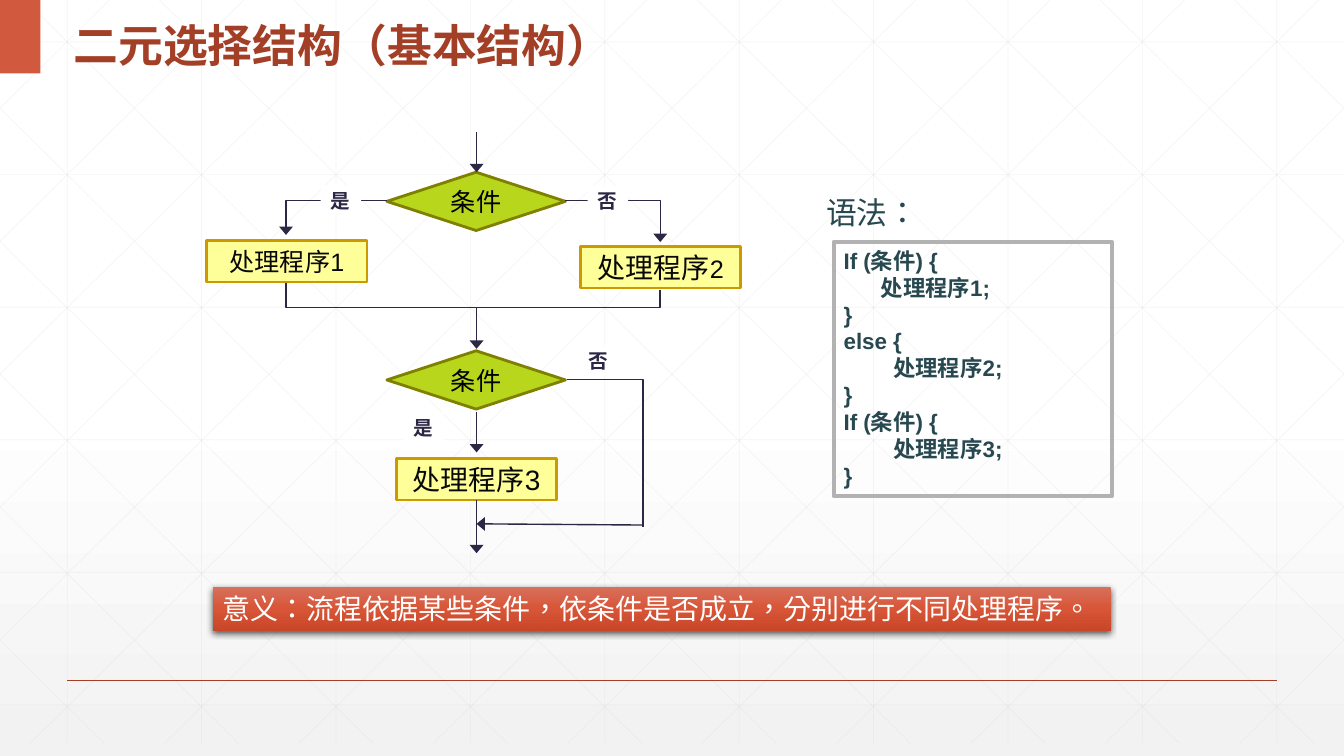
from pptx import Presentation
from pptx.dml.color import RGBColor
from pptx.enum.lang import MSO_LANGUAGE_ID
from pptx.enum.shapes import MSO_CONNECTOR, MSO_SHAPE
from pptx.enum.text import MSO_ANCHOR, MSO_AUTO_SIZE, PP_ALIGN
from pptx.oxml import parse_xml
from pptx.oxml.ns import nsdecls, qn
from pptx.util import Cm, Pt

RECTANGLE, DIAMOND = MSO_SHAPE.RECTANGLE, MSO_SHAPE.DIAMOND
STRAIGHT, ELBOW = MSO_CONNECTOR.STRAIGHT, MSO_CONNECTOR.ELBOW
LEFT, CENTER = PP_ALIGN.LEFT, PP_ALIGN.CENTER
TOP, MIDDLE = MSO_ANCHOR.TOP, MSO_ANCHOR.MIDDLE
NO_AUTOSIZE = MSO_AUTO_SIZE.NONE
CHINESE = MSO_LANGUAGE_ID.TRADITIONAL_CHINESE
WIDTH, HEIGHT = 33.87, 19.05
HEADING_FONT, BODY_FONT = "Noto Sans CJK SC", "Arial"
COLORS = {
    "title": "A43F27", "accent": "D15A3E", "grid": "D9D9D9", "code": "284850",
    "frame": "B2B2B2", "flow": "2B2745", "process": "FFFF99", "process_edge": "CC9900",
    "process_text": "080808", "decision": "B7D61C", "decision_edge": "808000",
    "black": "000000", "white": "FFFFFF", "pale": "F2F2F2",
    "banner_top": "D7705D", "banner_middle": "D85537", "banner_bottom": "C84728",
}
CODE = """If (条件) {
      处理程序1;
}
else {
        处理程序2;
}
If (条件) {
        处理程序3;
}"""


def rgb(name):
    """Return the named colour."""
    return RGBColor.from_string(COLORS[name])


class SlideBuilder:
    """Hold the shared style and the slide being built."""

    def __init__(self, presentation):
        self.slide = presentation.slides.add_slide(presentation.slide_layouts[5])

    def gradient(self, fill, element, stops):
        """Give a fill a vertical gradient made of (position, colour) stops."""
        fill.gradient()
        fill.gradient_angle = 270
        stop_list = element.find(".//" + qn("a:gsLst"))
        for stop in list(stop_list):
            stop_list.remove(stop)
        for position, color in stops:
            stop_list.append(parse_xml(
                f'<a:gs {nsdecls("a")} pos="{position * 1000}">'
                f'<a:srgbClr val="{COLORS[color]}"/></a:gs>'))

    def fill_text(self, shape, lines, size, color, font=BODY_FONT, bold=False, align=LEFT,
                  anchor=MIDDLE, wrap=True, spacing=None):
        """Put lines, each a list of (text, size) runs or a string, into a shape."""
        frame = shape.text_frame
        settings = {"auto_size": NO_AUTOSIZE, "word_wrap": wrap, "vertical_anchor": anchor}
        for name, value in settings.items():
            setattr(frame, name, value)
        for index, line in enumerate(lines):
            paragraph = frame.add_paragraph() if index else frame.paragraphs[0]
            paragraph.alignment = align
            paragraph.line_spacing = spacing
            for words, points in [(line, size)] if isinstance(line, str) else line:
                run = paragraph.add_run()
                run.text = words
                run.font.color.rgb = rgb(color)
                formats = {"size": Pt(points), "bold": bold, "name": font,
                           "language_id": CHINESE}
                for name, value in formats.items():
                    setattr(run.font, name, value)
                run.font._element.append(
                    parse_xml(f'<a:ea {nsdecls("a")} typeface="{font}"/>'))

    def title(self, text, left, top, width, height):
        """Place and format the title placeholder."""
        title = self.slide.shapes.title
        self.slide.shapes._spTree.append(title._element)
        for name, value in zip(("left", "top", "width", "height"), (left, top, width, height)):
            setattr(title, name, Cm(value))
        self.fill_text(title, [text], 32, "title", HEADING_FONT, bold=True, spacing=1.3)

    def text(self, text, left, top, width, height, **style):
        """Add a text box."""
        box = self.slide.shapes.add_textbox(Cm(left), Cm(top), Cm(width), Cm(height))
        self.fill_text(box, [text], **style)

    def shape(self, kind, left, top, width, height, fill=None, edge=None, weight=2):
        """Add a preset shape without shadow."""
        shape = self.slide.shapes.add_shape(kind, Cm(left), Cm(top), Cm(width), Cm(height))
        shape.shadow.inherit = False
        if fill:
            shape.fill.solid()
            shape.fill.fore_color.rgb = rgb(fill)
        else:
            shape.fill.background()
        if edge:
            shape.line.color.rgb = rgb(edge)
            shape.line.width = Pt(weight)
        else:
            shape.line.fill.background()
        return shape

    def process(self, line, left, top, size):
        """Add a process box."""
        box = self.shape(RECTANGLE, left, top, 4.04, 1.04, "process", "process_edge")
        self.fill_text(box, [line], size, "process_text", align=CENTER, wrap=False)

    def decision(self, left, top):
        """Add a decision diamond."""
        diamond = self.shape(DIAMOND, left, top, 4.5, 1.47, "decision", "decision_edge")
        self.fill_text(diamond, ["条件"], 18, "black", align=CENTER, wrap=False)

    def label(self, text, left, top):
        """Add a branch label."""
        label = self.shape(RECTANGLE, left, top, 1.02, 0.76, "white")
        self.fill_text(label, [text], 14, "flow", bold=True, wrap=False)

    def line(self, start, end, color="flow", weight=1, arrow=False, kind=STRAIGHT, opacity=None):
        """Add a connector; an elbow bends once, sideways first."""
        line = self.slide.shapes.add_connector(kind, *map(Cm, start + end))
        line.line.color.rgb = rgb(color)
        line.line.width = Pt(weight)
        properties = line._element.spPr
        if kind == ELBOW:
            properties.find(qn("a:prstGeom")).set("prst", "bentConnector2")
        if opacity:
            properties.find(".//" + qn("a:srgbClr")).append(
                parse_xml(f'<a:alpha {nsdecls("a")} val="{opacity * 1000}"/>'))
        if arrow:
            properties.find(qn("a:ln")).append(
                parse_xml(f'<a:tailEnd {nsdecls("a")} type="triangle" w="lg" len="med"/>'))
        properties.append(parse_xml(f'<a:effectLst {nsdecls("a")}/>'))
        return line

    def merge(self):
        """Join the two branches with one connector bent below them."""
        line = self.line((12.01, 2.51), (11.84, 11.93), weight=1.25, kind=ELBOW)
        properties = line._element.spPr
        properties.find(qn("a:xfrm")).set("rot", "16200000")
        geometry = properties.find(qn("a:prstGeom"))
        geometry.set("prst", "bentConnector3")
        for child in list(geometry):
            geometry.remove(child)
        geometry.append(parse_xml(
            f'<a:avLst {nsdecls("a")}><a:gd name="adj1" fmla="val 360000"/></a:avLst>'))

    def grid(self):
        """Draw the faint background lattice."""
        bottom, run, pitch = 18.73, 18.93, WIDTH / 10
        lines = [((x, 0), (x, bottom)) for x in (pitch * (i + 0.5) for i in range(10))]
        lines += [((0, y), (WIDTH, y)) for y in (1.06 + 3.34 * i for i in range(6))]
        for index in range(-5, 10):
            origin = 0.63 + pitch * index
            ends = [(x, (x - origin) * bottom / run)
                    for x in (max(0, origin), min(WIDTH, origin + run))]
            lines += [ends, [(WIDTH - x, y) for x, y in ends]]
        for start, end in lines:
            self.line(start, end, "grid", 0.5, opacity=25)

    def banner(self, text, left, top, width, height):
        """Add the shaded summary banner."""
        banner = self.shape(RECTANGLE, left, top, width, height)
        properties = banner._element.spPr
        self.gradient(banner.fill, properties,
                      [(0, "banner_top"), (50, "banner_middle"), (100, "banner_bottom")])
        properties.find(qn("a:effectLst")).append(parse_xml(
            f'<a:outerShdw {nsdecls("a")} blurRad="57150" dist="19050" dir="5400000" '
            'algn="ctr" rotWithShape="0"><a:srgbClr val="000000"><a:alpha val="63000"/>'
            '</a:srgbClr></a:outerShdw>'))
        self.fill_text(banner, [text], 20, "white")


def main():
    """Build and save the slide."""
    presentation = Presentation()
    presentation.slide_width, presentation.slide_height = Cm(WIDTH), Cm(HEIGHT)
    builder = SlideBuilder(presentation)
    slide = builder.slide
    builder.gradient(slide.background.fill, slide._element,
                     [(0, "white"), (53, "white"), (100, "pale")])
    builder.grid()
    builder.line((1.69, 17.14), (32.18, 17.14), "title")
    builder.shape(RECTANGLE, 0, 0, 1.02, 1.85, "accent")
    builder.title("二元选择结构（基本结构）", 1.6, 0, 14.45, 1.85)

    builder.text("语法：", 20.57, 4.75, 8.41, 1.19, size=22, color="code", font=HEADING_FONT)
    code_box = builder.shape(RECTANGLE, 21.01, 6.1, 7.01, 6.4, edge="frame", weight=3)
    builder.fill_text(code_box, CODE.split("\n"), 16, "code", bold=True, anchor=TOP,
                      spacing=Pt(19.2))

    axis = 12.01
    builder.process("处理程序3", 9.99, 11.56, 20)
    builder.process([("处理程序", 20), ("2", 18)], 14.63, 6.22, 20)
    builder.process("处理程序1", 5.21, 6.07, 18)
    for top in (4.34, 8.84):
        builder.decision(9.75, top)
    for start, end in ((3.33, 4.34), (7.77, 8.79), (10.39, 11.4), (12.6, 13.94)):
        builder.line((axis, start), (axis, end), arrow=True)
    builder.line((9.75, 5.06), (7.21, 5.92), arrow=True, kind=ELBOW)
    builder.line((14.25, 5.06), (16.64, 6.1), arrow=True, kind=ELBOW)
    builder.merge()
    builder.line((14.3, 9.57), (16.21, 13.28), kind=ELBOW)
    builder.line((16.21, 13.23), (axis, 13.2), arrow=True)
    for text, left, top in (("是", 8.08, 4.67), ("否", 14.81, 4.67),
                            ("是", 10.16, 10.39), ("否", 14.58, 8.71)):
        builder.label(text, left, top)
    builder.banner("意义：流程依据某些条件，依条件是否成立，分别进行不同处理程序。",
                   5.36, 14.78, 22.63, 1.12)
    presentation.save("out.pptx")


if __name__ == "__main__":
    main()
